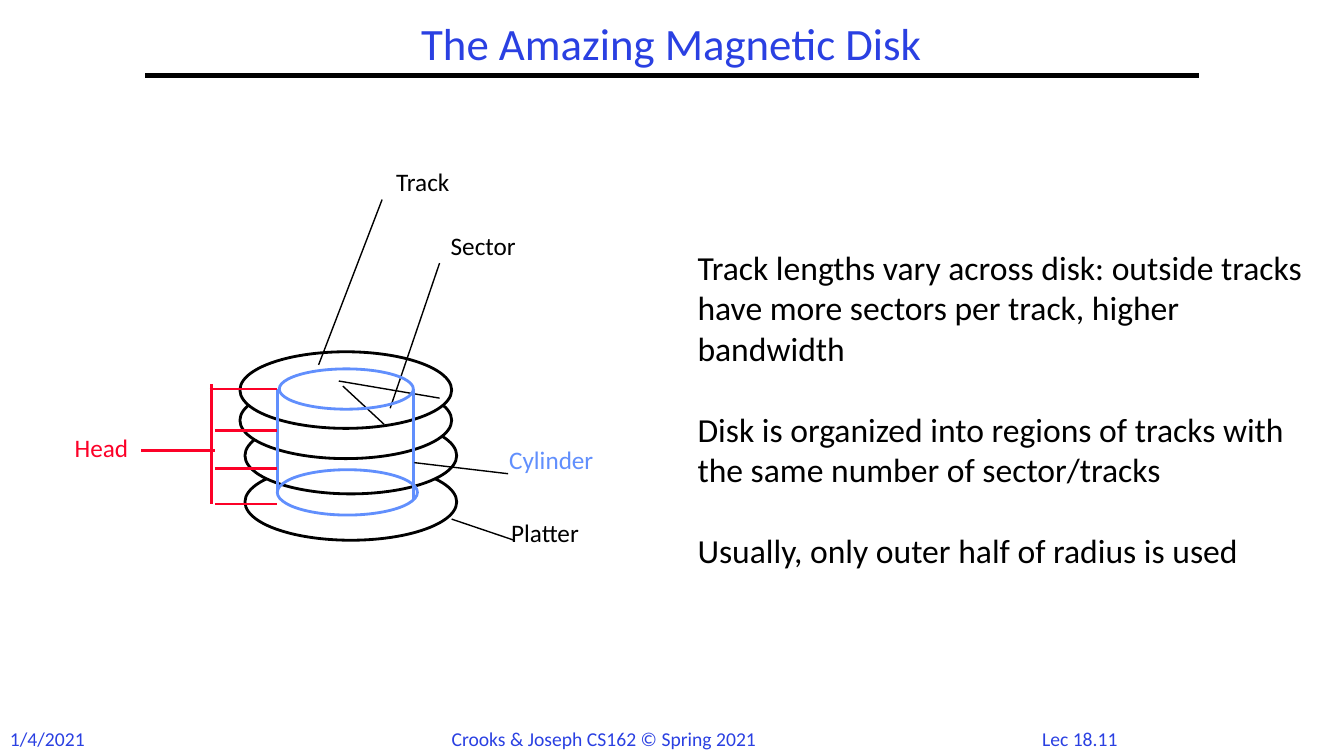
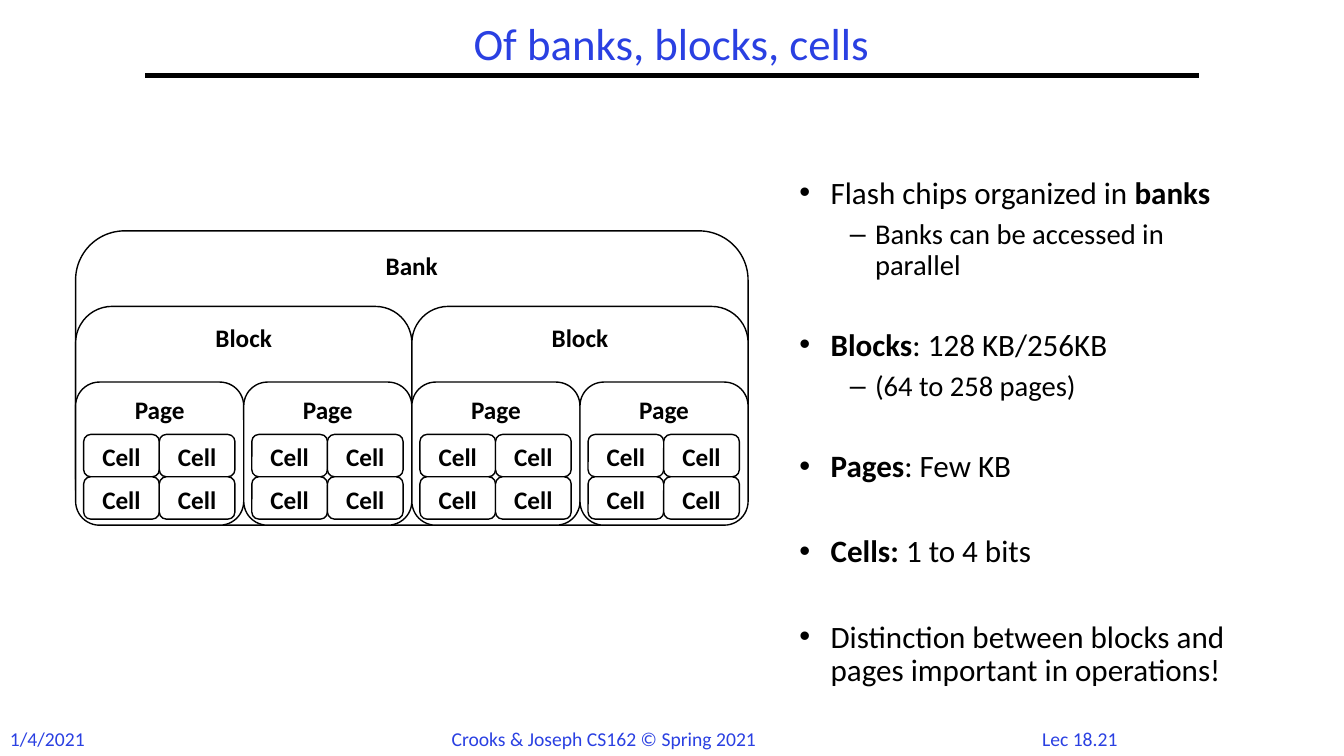
from dataclasses import dataclass

from lxml.etree import SubElement
from pptx import Presentation
from pptx.dml.color import RGBColor
from pptx.enum.shapes import MSO_CONNECTOR, MSO_SHAPE
from pptx.enum.text import MSO_ANCHOR, PP_ALIGN
from pptx.oxml.ns import qn
from pptx.util import Inches, Pt


@dataclass(frozen=True)
class Theme:
    font: str = "Calibri"
    black: str = "000000"
    white: str = "FFFFFF"
    title_blue: str = "2A40E2"
    cylinder_blue: str = "618FFD"
    head_red: str = "FC0128"
    title: float = 32
    body: float = 24
    bullet: float = 22.2
    sub_bullet: float = 20.4
    label: float = 18
    footer: float = 14
    rule: float = 3
    outline: float = 2
    thin: float = 1


@dataclass(frozen=True)
class Box:
    left: float
    top: float
    width: float
    height: float

    def inner(self, left, top, width, height):
        """Return a box whose position is measured from this one."""
        return Box(self.left + left, self.top + top, width, height)

    def lengths(self):
        return [Inches(value) for value in (self.left, self.top, self.width, self.height)]


THEME = Theme()
PAGE = Box(0, 0, 13.33, 7.5)
TIGHT = {"margin_left": Inches(0.07), "margin_right": Inches(0.07),
         "margin_top": Inches(0.03), "margin_bottom": Inches(0.03)}


def set_attributes(target, values):
    for name, value in values.items():
        setattr(target, name, value)


def add_run(paragraph, text, size, color=THEME.black, bold=False):
    run = paragraph.add_run()
    run.text = text
    set_attributes(run.font, {"name": THEME.font, "size": Pt(size), "bold": bold})
    run.font.color.rgb = RGBColor.from_string(color)


def add_text(slide, box, texts, size, color=THEME.black, frame_format=None, paragraph_format=None, gap=0):
    """Add a text box with one paragraph per text, gap points apart."""
    frame = slide.shapes.add_textbox(*box.lengths()).text_frame
    set_attributes(frame, {"word_wrap": True, **(frame_format or {})})
    for index, text in enumerate(texts):
        paragraph = frame.add_paragraph() if index else frame.paragraphs[0]
        set_attributes(paragraph, paragraph_format or {})
        if index:
            paragraph.space_before = Pt(gap)
        add_run(paragraph, text, size, color)


def add_line(slide, area, start, end, color=THEME.black, width=THEME.thin):
    points = [Inches(value) for x, y in (start, end) for value in (area.left + x, area.top + y)]
    connector = slide.shapes.add_connector(MSO_CONNECTOR.STRAIGHT, *points)
    connector.line.color.rgb = RGBColor.from_string(color)
    connector.line.width = Pt(width)
    SubElement(connector._element.spPr, qn("a:effectLst"))


def add_outlined(slide, kind, box, color=THEME.black, width=THEME.outline, fill=THEME.white):
    shape = slide.shapes.add_shape(kind, *box.lengths())
    shape.shadow.inherit = False
    if fill:
        shape.fill.solid()
        shape.fill.fore_color.rgb = RGBColor.from_string(fill)
    else:
        shape.fill.background()
    shape.line.color.rgb = RGBColor.from_string(color)
    shape.line.width = Pt(width)
    return shape


def add_framed_slide(presentation, title, number):
    """Add a blank slide with the shared title, rule and footers."""
    slide = presentation.slides.add_slide(presentation.slide_layouts[6])
    centred = {"alignment": PP_ALIGN.CENTER}
    footers = [
        (Box(10.17, 7.16, 1.08, 0.33), number, centred),
        (Box(0, 7.16, 0.95, 0.34), "1/4/2021", {}),
        (Box(4.38, 7.16, 3.25, 0.34), "Crooks & Joseph CS162 © Spring 2021", {}),
    ]
    for box, text, paragraph_format in footers:
        add_text(slide, box, [text], THEME.footer, THEME.title_blue, {"word_wrap": False}, paragraph_format)
    add_line(slide, PAGE, (1.44, 0.75), (11.89, 0.75), width=THEME.rule)
    add_text(slide, Box(1.44, 0.17, 10.44, 0.58), [title], THEME.title, THEME.title_blue,
             {"vertical_anchor": MSO_ANCHOR.MIDDLE}, {**centred, "line_spacing": 0.9})
    return slide


def add_platters(slide, area):
    for left, top in [(1.76, 2.93), (1.76, 2.47), (1.71, 2.12), (1.71, 1.82)]:
        add_outlined(slide, MSO_SHAPE.OVAL, area.inner(left, top, 2.1, 0.76))


def add_cylinder(slide, area):
    for ellipse in [(2.08, 2.99, 1.39, 0.45), (2.1, 1.99, 1.33, 0.4)]:
        add_outlined(slide, MSO_SHAPE.OVAL, area.inner(*ellipse), THEME.cylinder_blue, fill=None)
    for x, bottom in [(2.08, 3.21), (3.43, 3.28)]:
        add_line(slide, area, (x, 2.19), (x, bottom), THEME.cylinder_blue, THEME.outline)


def add_head(slide, area):
    add_line(slide, area, (1.43, 2.14), (1.43, 3.33), THEME.head_red, THEME.outline)
    for start, end, y in [(1.41, 2.08, 2.19), (1.46, 2.08, 2.6), (1.46, 2.08, 2.98),
                          (1.46, 2.08, 3.33), (0.73, 1.46, 2.8)]:
        add_line(slide, area, (start, y), (end, y), THEME.head_red, THEME.outline)


def add_disk(slide, area):
    add_platters(slide, area)
    sector_edges = [((2.73, 2.16), (3.14, 2.54)), ((2.69, 2.11), (3.69, 2.28))]
    upper_leaders = [((3.2, 2.38), (3.69, 0.94)), ((2.49, 1.95), (3.12, 0.31))]
    for start, end in sector_edges + upper_leaders:
        add_line(slide, area, start, end)
    add_cylinder(slide, area)
    add_head(slide, area)
    for start, end in [((3.44, 2.92), (4.37, 3.03)), ((3.81, 3.48), (4.43, 3.69))]:
        add_line(slide, area, start, end)
    labels = [
        ("Track", 3.19, 0, THEME.black),
        ("Sector", 3.73, 0.63, THEME.black),
        ("Cylinder", 4.31, 2.75, THEME.cylinder_blue),
        ("Head", 0, 2.63, THEME.head_red),
        ("Platter", 4.33, 3.48, THEME.black),
    ]
    for text, left, top, color in labels:
        add_text(slide, area.inner(left, top, 1.25, 0.51), [text], THEME.label, color,
                 TIGHT, {"line_spacing": 0.85})


def add_memory_block(slide, box, text):
    shape = add_outlined(slide, MSO_SHAPE.ROUNDED_RECTANGLE, box, width=THEME.thin)
    shape.text_frame.vertical_anchor = MSO_ANCHOR.TOP
    paragraph = shape.text_frame.paragraphs[0]
    paragraph.alignment = PP_ALIGN.CENTER
    add_run(paragraph, text, THEME.label, bold=True)


def add_flash_bank(slide, area):
    """Draw the nested bank, blocks, pages and cells."""
    pages = 4
    for text, count, top in [("Bank", 1, 0), ("Block", 2, 0.75), ("Page", pages, 1.5)]:
        width = area.width / count
        for index in range(count):
            add_memory_block(slide, area.inner(index * width, top, width, area.height - top), text)
    cell_width, cell_height = 0.75, 0.42
    for page in range(pages):
        left = page * area.width / pages + 0.08
        for column in range(2):
            for row in range(2):
                cell = area.inner(left + column * cell_width, 2.02 + row * cell_height,
                                  cell_width, cell_height)
                add_memory_block(slide, cell, "Cell")


def set_bullet(paragraph, character, margin, hang):
    properties = paragraph._p.get_or_add_pPr()
    properties.set("marL", str(Inches(margin)))
    properties.set("indent", str(-Inches(hang)))
    SubElement(properties, qn("a:buFont")).set("typeface", "Arial")
    SubElement(properties, qn("a:buChar")).set("char", character)


def add_bullets(slide, box, items):
    """Each item is (level, space before, [(text, bold), ...])."""
    styles = [("•", 0.31, 0.31, THEME.bullet), ("–", 0.75, 0.25, THEME.sub_bullet)]
    frame = slide.shapes.add_textbox(*box.lengths()).text_frame
    frame.word_wrap = True
    for index, (level, gap, runs) in enumerate(items):
        paragraph = frame.add_paragraph() if index else frame.paragraphs[0]
        character, margin, hang, size = styles[level]
        set_bullet(paragraph, character, margin, hang)
        set_attributes(paragraph, {"level": level, "line_spacing": 0.9, "space_before": Pt(gap)})
        for text, bold in runs:
            add_run(paragraph, text, size, bold=bold)


def build_disk_slide(presentation):
    slide = add_framed_slide(presentation, "The Amazing Magnetic Disk", "Lec 18.11")
    add_disk(slide, Box(0.67, 1.67, 5.85, 3.99))
    add_text(slide, Box(6.82, 2.4, 6.27, 2.93), [
        "Track lengths vary across disk: outside tracks have more sectors per track, higher bandwidth",
        "Disk is organized into regions of tracks with the same number of sector/tracks",
        "Usually, only outer half of radius is used",
    ], THEME.body, gap=29)


def build_flash_slide(presentation):
    slide = add_framed_slide(presentation, "Of banks, blocks, cells", "Lec 18.21")
    add_flash_bank(slide, Box(0.75, 2.29, 6.67, 2.92))
    add_bullets(slide, Box(7.83, 1.71, 4.42, 5.58), [
        (0, 0, [("Flash chips organized in ", False), ("banks", True)]),
        (1, 6.5, [("Banks can be accessed in parallel", False)]),
        (0, 34, [("Blocks", True), (": 128 KB/256KB", False)]),
        (1, 6.5, [("(64 to 258 pages)", False)]),
        (0, 34, [("Pages", True), (": Few KB", False)]),
        (0, 37, [("Cells:", True), (" 1 to 4 bits", False)]),
        (0, 37, [("Distinction between blocks and pages important in operations!", False)]),
    ])


def main():
    presentation = Presentation()
    presentation.slide_width = Inches(PAGE.width)
    presentation.slide_height = Inches(PAGE.height)
    build_disk_slide(presentation)
    build_flash_slide(presentation)
    presentation.save("out.pptx")


if __name__ == "__main__":
    main()
